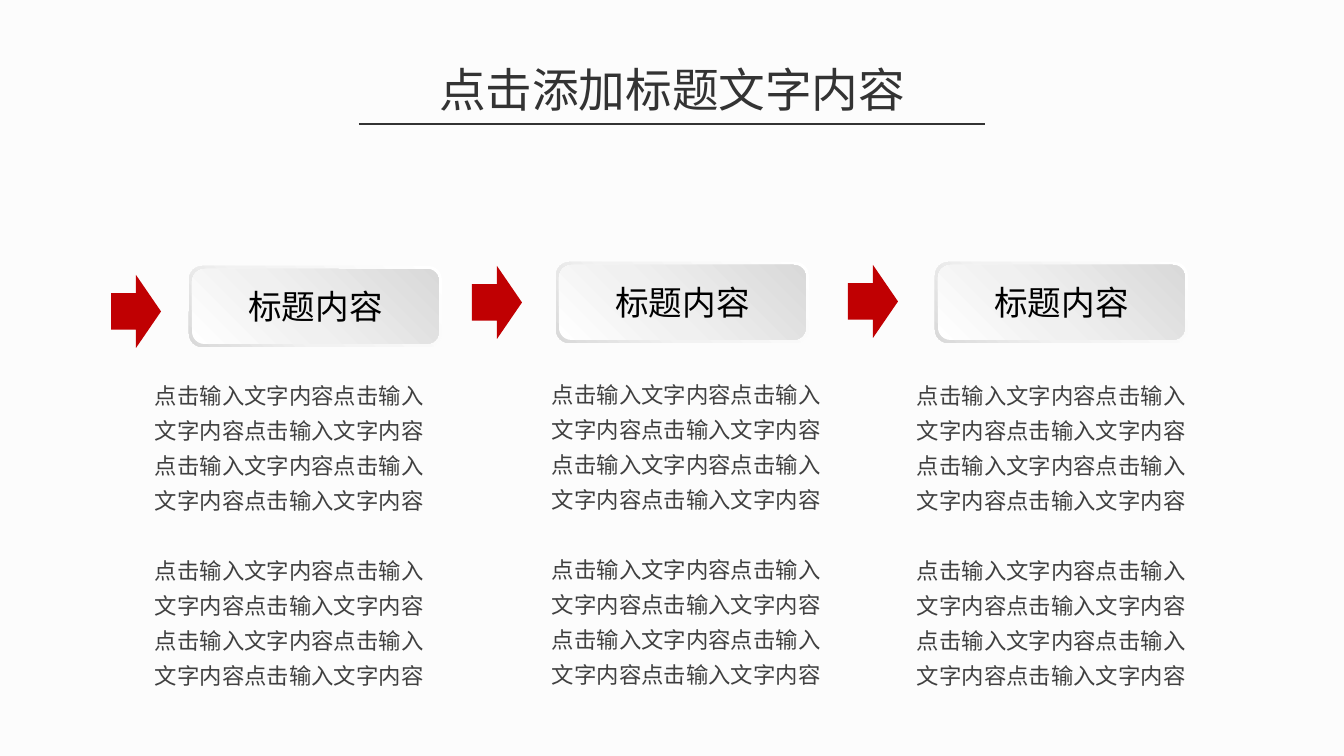
from lxml.etree import SubElement
from pptx import Presentation
from pptx.dml.color import RGBColor
from pptx.enum.shapes import MSO_CONNECTOR, MSO_SHAPE
from pptx.enum.text import MSO_ANCHOR, PP_ALIGN
from pptx.oxml.ns import qn
from pptx.util import Emu, Pt

PX = 914400 / 134.4
FONT = "Noto Sans CJK SC"
BACKGROUND = RGBColor(0xFC, 0xFC, 0xFC)
TITLE_COLOR = RGBColor(0x33, 0x33, 0x33)
RED = RGBColor(0xC0, 0x00, 0x02)
BLACK = RGBColor(0x00, 0x00, 0x00)
BODY_COLOR = RGBColor(0x40, 0x40, 0x40)
WHITE = RGBColor(0xFF, 0xFF, 0xFF)
RIM_GREY = RGBColor(0xF2, 0xF2, 0xF2)
FACE_GREY = RGBColor(0xF0, 0xF0, 0xF0)
EDGE_GREY = RGBColor(0xD9, 0xD9, 0xD9)

BODY_TEXT = "点击输入文字内容" * 6
CARD_WIDTH, CARD_HEIGHT = 253, 81
LINE_PITCH = Pt(18.75)

# Left and top of the arrow, the card and the body text of each step
STEPS = [
    ((111, 275), (189, 266), (155, 374)),
    ((472, 266), (556, 262), (552, 373)),
    ((848, 265), (935, 262), (917, 374)),
]


def px(*lengths):
    return [Emu(round(length * PX)) for length in lengths]


def style_text(paragraph, size, color):
    """Set the font for both Latin and East Asian characters."""
    font = paragraph.font
    font.name, font.size = FONT, Pt(size)
    font.color.rgb = color
    properties = paragraph._p.pPr.find(qn("a:defRPr"))
    SubElement(properties, qn("a:ea"), typeface=FONT)


presentation = Presentation()
presentation.slide_width, presentation.slide_height = px(1344, 756)
slide = presentation.slides.add_slide(presentation.slide_layouts[6])
slide.background.fill.solid()
slide.background.fill.fore_color.rgb = BACKGROUND

title = slide.shapes.add_textbox(*px(423, 54, 498, 70)).text_frame
title.word_wrap = True
title.vertical_anchor = MSO_ANCHOR.MIDDLE
paragraph = title.paragraphs[0]
paragraph.text = "点击添加标题文字内容"
paragraph.alignment = PP_ALIGN.CENTER
style_text(paragraph, 25, TITLE_COLOR)

underline = slide.shapes.add_connector(MSO_CONNECTOR.STRAIGHT, *px(359, 124, 985, 124))
underline.line.color.rgb = TITLE_COLOR
underline.line.width = Pt(0.75)
SubElement(underline._element.spPr, qn("a:effectLst"))

for arrow_at, (card_left, card_top), body_at in STEPS:
    arrow = slide.shapes.add_shape(MSO_SHAPE.RIGHT_ARROW, *px(*arrow_at, 50, 73))
    arrow.shadow.inherit = False
    arrow.fill.solid()
    arrow.fill.fore_color.rgb = RED
    arrow.line.fill.background()

    card = slide.shapes.add_group_shape()
    for inset, angle, middle, middle_color in (
        (0, 225, 62, RIM_GREY),
        (3, 45, 42, FACE_GREY),
    ):
        face = card.shapes.add_shape(
            MSO_SHAPE.ROUNDED_RECTANGLE,
            *px(card_left + inset, card_top + inset,
                CARD_WIDTH - 2 * inset, CARD_HEIGHT - 2 * inset),
        )
        face.shadow.inherit = False
        face.line.fill.background()
        face.fill.gradient()
        face.fill.gradient_angle = angle
        stops = face._element.spPr.find(".//" + qn("a:gsLst"))
        stops.clear()
        for position, color in ((0, WHITE), (middle, middle_color), (100, EDGE_GREY)):
            stop = SubElement(stops, qn("a:gs"), pos=str(position * 1000))
            SubElement(stop, qn("a:srgbClr"), val=str(color))

    # The upper face carries the label
    face.text_frame.vertical_anchor = MSO_ANCHOR.MIDDLE
    paragraph = face.text_frame.paragraphs[0]
    paragraph.text = "标题内容"
    paragraph.alignment = PP_ALIGN.CENTER
    style_text(paragraph, 18, BLACK)

    body = slide.shapes.add_textbox(*px(*body_at, 286, 317)).text_frame
    body.word_wrap = True
    body.margin_left = body.margin_top = body.margin_right = body.margin_bottom = 0
    body.text = f"{BODY_TEXT}\n{BODY_TEXT}"
    body.paragraphs[1].space_before = LINE_PITCH
    for paragraph in body.paragraphs:
        paragraph.line_spacing = LINE_PITCH
        style_text(paragraph, 12, BODY_COLOR)

presentation.save("out.pptx")
